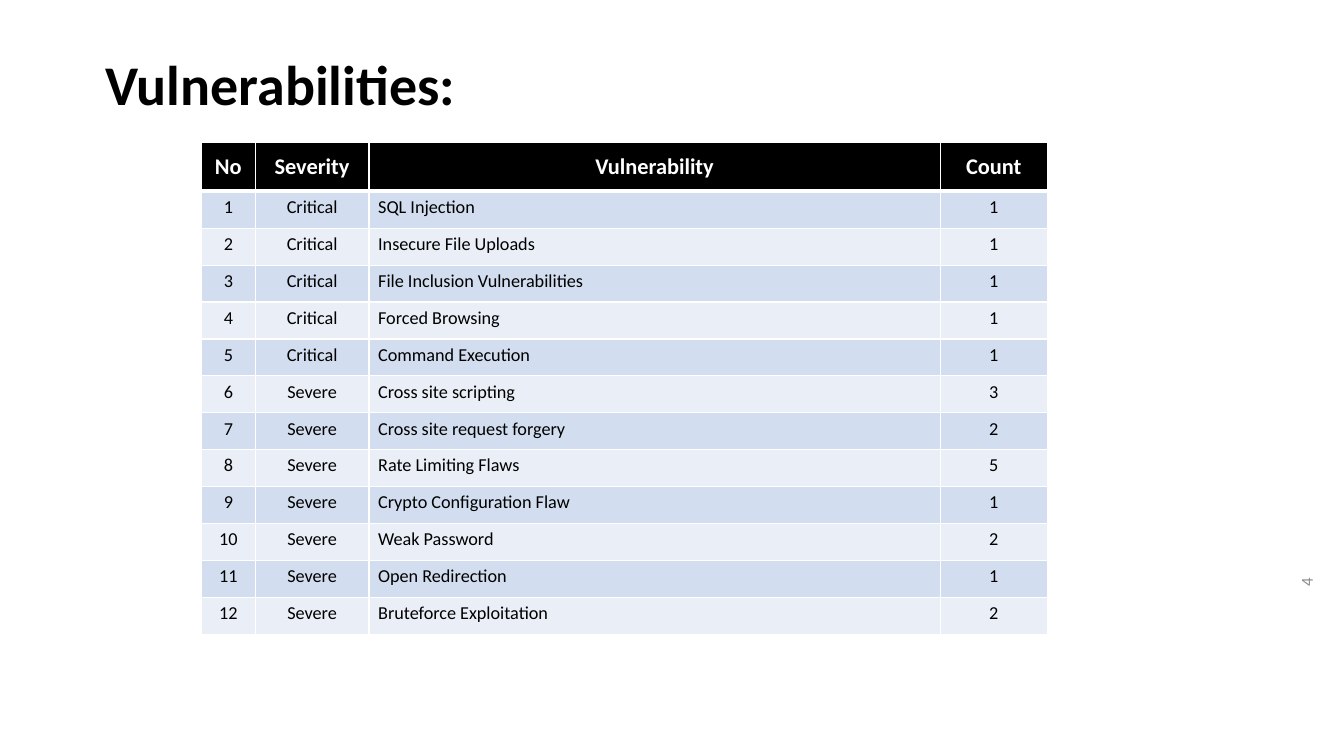
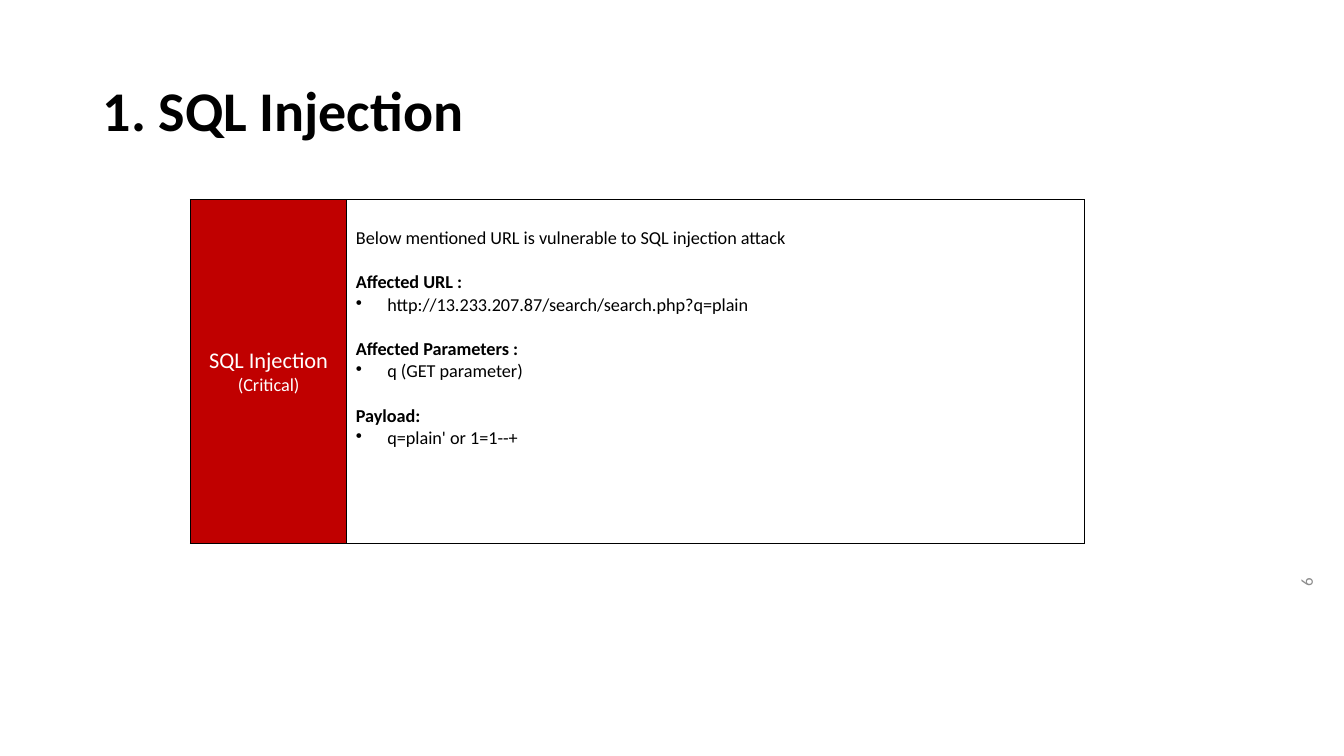
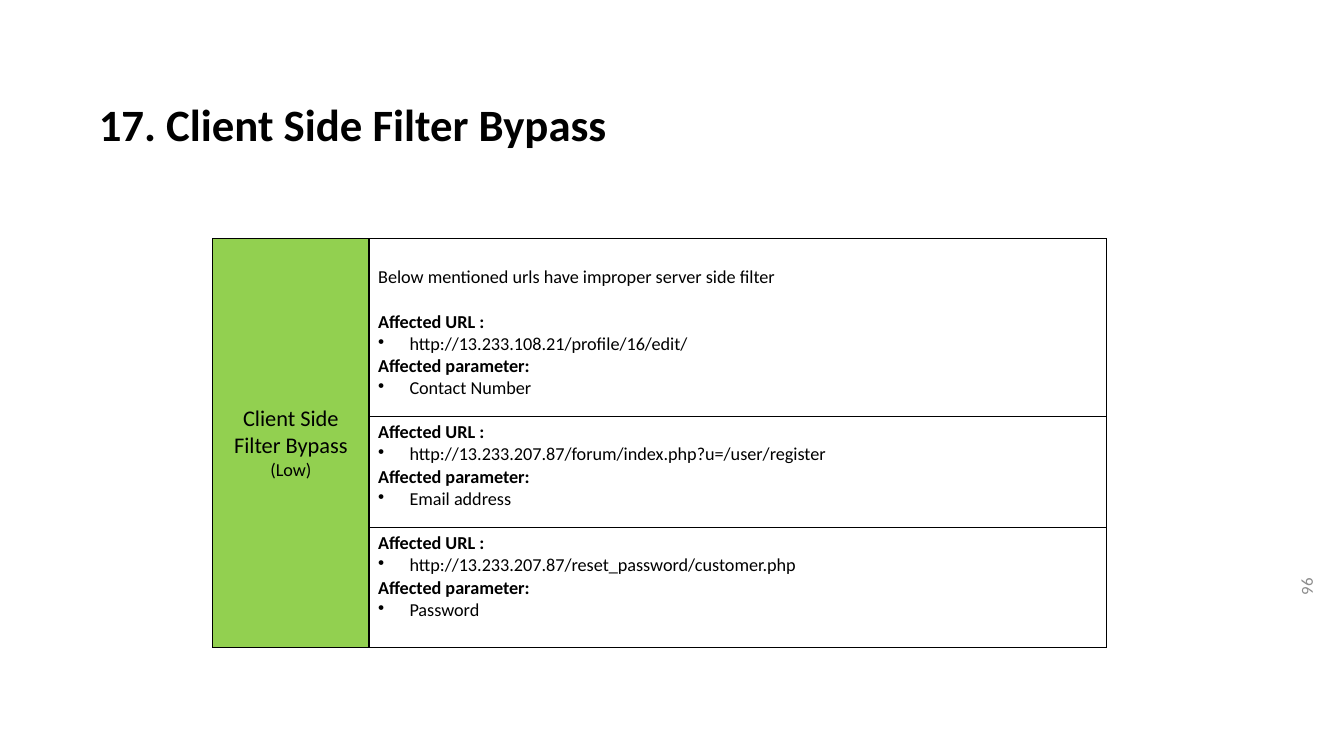
"""Builds three slides of a web security report: a findings list and two detailed findings."""
from lxml import etree
from pptx import Presentation
from pptx.dml.color import RGBColor
from pptx.enum.text import MSO_ANCHOR, PP_ALIGN
from pptx.oxml.ns import qn
from pptx.util import Cm, Pt

LEFT, CENTER, RIGHT = PP_ALIGN.LEFT, PP_ALIGN.CENTER, PP_ALIGN.RIGHT
TOP, MIDDLE = MSO_ANCHOR.TOP, MSO_ANCHOR.MIDDLE
BLACK = RGBColor(0x00, 0x00, 0x00)
WHITE = RGBColor(0xFF, 0xFF, 0xFF)
GRAY = RGBColor(0x8C, 0x8C, 0x8C)
RED = RGBColor(0xC0, 0x00, 0x00)
GREEN = RGBColor(0x92, 0xD0, 0x50)
BANDS = (RGBColor(0xD2, 0xDE, 0xEF), RGBColor(0xEA, 0xEF, 0xF7))
FONT = "Calibri"
BODY = 13
LINE_GAP = 16


def write(p, text, size, color, bold=False, align=LEFT):
    """Put styled text in a paragraph."""
    p.text = text
    p.alignment = align
    p.font.name = FONT
    p.font.size = Pt(size)
    p.font.bold = bold
    p.font.color.rgb = color


def style_cell(cell, fill, anchor, color, widths):
    """Set a cell's borders (points by side), fill, side margins and anchor."""
    tcPr = cell._tc.get_or_add_tcPr()
    for side, width in widths.items():
        ln = etree.SubElement(tcPr, qn("a:ln" + side), w=str(Pt(width)))
        solid = etree.SubElement(ln, qn("a:solidFill"))
        etree.SubElement(solid, qn("a:srgbClr"), val=str(color))
    if fill is None:
        cell.fill.background()
    else:
        cell.fill.solid()
        cell.fill.fore_color.rgb = fill
    cell.margin_left = cell.margin_right = Cm(0.23)
    cell.vertical_anchor = anchor


prs = Presentation()
prs.slide_width, prs.slide_height = Cm(33.87), Cm(19.05)

TITLES = [
    ("Vulnerabilities:", 40, 2.41, 0.36, "4"),
    ("1. SQL Injection", 40, 2.34, 1.02, "6"),
    ("17. Client Side Filter Bypass", 32, 2.24, 1.35, "96"),
]
slides = []
for title, size, left, top, number in TITLES:
    s = prs.slides.add_slide(prs.slide_layouts[6])
    slides.append(s)
    title_box = s.shapes.add_textbox(Cm(left), Cm(top), Cm(29.21), Cm(3.68))
    number_box = s.shapes.add_textbox(Cm(31.09), Cm(15.52), Cm(3.66), Cm(1.27))
    number_box.rotation = 270
    for box in (title_box, number_box):
        box.text_frame.word_wrap = True
        box.text_frame.vertical_anchor = MIDDLE
    p = title_box.text_frame.paragraphs[0]
    write(p, title, size, BLACK, bold=True)
    p.line_spacing = 0.9
    write(number_box.text_frame.paragraphs[0], number, 12, GRAY, align=RIGHT)

HEADERS = ("No", "Severity", "Vulnerability", "Count")
LIST_WIDTHS = (1.35, 2.87, 14.4, 2.69)
FINDINGS = [
    ("Critical", "SQL Injection", 1),
    ("Critical", "Insecure File Uploads", 1),
    ("Critical", "File Inclusion Vulnerabilities", 1),
    ("Critical", "Forced Browsing", 1),
    ("Critical", "Command Execution", 1),
    ("Severe", "Cross site scripting", 3),
    ("Severe", "Cross site request forgery", 2),
    ("Severe", "Rate Limiting Flaws", 5),
    ("Severe", "Crypto Configuration Flaw", 1),
    ("Severe", "Weak Password", 2),
    ("Severe", "Open Redirection", 1),
    ("Severe", "Bruteforce Exploitation", 2),
]
rows = [HEADERS] + [(i, *finding) for i, finding in enumerate(FINDINGS, 1)]
heights = [1.24] + [0.93] * len(FINDINGS)
table = slides[0].shapes.add_table(
    len(rows), len(HEADERS), Cm(5.08), Cm(3.58), Cm(sum(LIST_WIDTHS)), Cm(sum(heights))).table
for column, width in zip(table.columns, LIST_WIDTHS):
    column.width = Cm(width)
for i, values in enumerate(rows):
    table.rows[i].height = Cm(heights[i])
    header = i == 0
    for j, value in enumerate(values):
        cell = table.cell(i, j)
        widths = {"L": 1, "R": 1, "T": 3 if i == 1 else 1, "B": 3 if header else 1}
        style_cell(cell, BLACK if header else BANDS[(i - 1) % 2],
                   MIDDLE if header else TOP, WHITE, widths)
        write(cell.text_frame.paragraphs[0], str(value), 16 if header else BODY,
              WHITE if header else BLACK, header, LEFT if j == 2 and not header else CENTER)

DETAIL_WIDTHS = (3.94, 18.59)
DETAILS = [
    (slides[1], 4.8, 3.56, (1.47, 8.66), "SQL Injection", "(Critical)", RED, WHITE, [
        ("Below mentioned URL is vulnerable to SQL injection attack", [
            ("Affected URL :", "http://13.233.207.87/search/search.php?q=plain", LINE_GAP),
            ("Affected Parameters :", "q (GET parameter)", LINE_GAP),
            ("Payload:", "q=plain' or 1=1--+", LINE_GAP)]),
    ]),
    (slides[2], 5.36, 5.08, (0.94, 4.47, 2.8, 3.03), "Client Side Filter Bypass", "(Low)",
     GREEN, BLACK, [
        ("Below mentioned urls have improper server side filter", [
            ("Affected URL :", "http://13.233.108.21/profile/16/edit/", LINE_GAP),
            ("Affected parameter:", "Contact Number", 0)]),
        (None, [
            ("Affected URL :", "http://13.233.207.87/forum/index.php?u=/user/register", 0),
            ("Affected parameter:", "Email address", 0)]),
        (None, [
            ("Affected URL :", "http://13.233.207.87/reset_password/customer.php", 0),
            ("Affected parameter:", "Password", 0)]),
    ]),
]
for s, left, top, heights, name, severity, fill, color, blocks in DETAILS:
    table = s.shapes.add_table(
        len(heights), 2, Cm(left), Cm(top), Cm(sum(DETAIL_WIDTHS)), Cm(sum(heights))).table
    table.first_row = table.horz_banding = False
    for column, width in zip(table.columns, DETAIL_WIDTHS):
        column.width = Cm(width)
    for i, height in enumerate(heights):
        table.rows[i].height = Cm(height)
        for j in range(2):
            cell = table.cell(i, j)
            if i == 0:
                style_cell(cell, None, TOP, BLACK, {"B": 1})
                cell.text_frame.paragraphs[0].font.size = Pt(BODY)
            else:
                style_cell(cell, WHITE if j else fill, TOP if j else MIDDLE, BLACK,
                           dict.fromkeys("LRTB", 1))
    name_cell = table.cell(1, 0)
    if len(blocks) > 1:
        name_cell.merge(table.cell(len(blocks), 0))
    tf = name_cell.text_frame
    write(tf.paragraphs[0], name, 16, color, align=CENTER)
    write(tf.add_paragraph(), severity, BODY, color, align=CENTER)
    for i, (intro, facts) in enumerate(blocks, 1):
        cell = table.cell(i, 1)
        tf = cell.text_frame
        p = tf.paragraphs[0]
        if intro:
            cell.margin_top = Cm(0.69)
            write(p, intro, BODY, BLACK)
            p = tf.add_paragraph()
        for k, (label, value, gap) in enumerate(facts):
            if k:
                p = tf.add_paragraph()
            write(p, label, BODY, BLACK, bold=True)
            p.space_before = Pt(gap)
            p = tf.add_paragraph()
            write(p, value, BODY, BLACK)
            pPr = p._p.get_or_add_pPr()
            pPr.set("marL", str(Cm(0.79)))
            pPr.set("indent", str(Cm(-0.79)))
            bullet = etree.Element(qn("a:buChar"), char="•")
            pPr.insert_element_before(bullet, "a:tabLst", "a:defRPr", "a:extLst")

prs.save("out.pptx")
